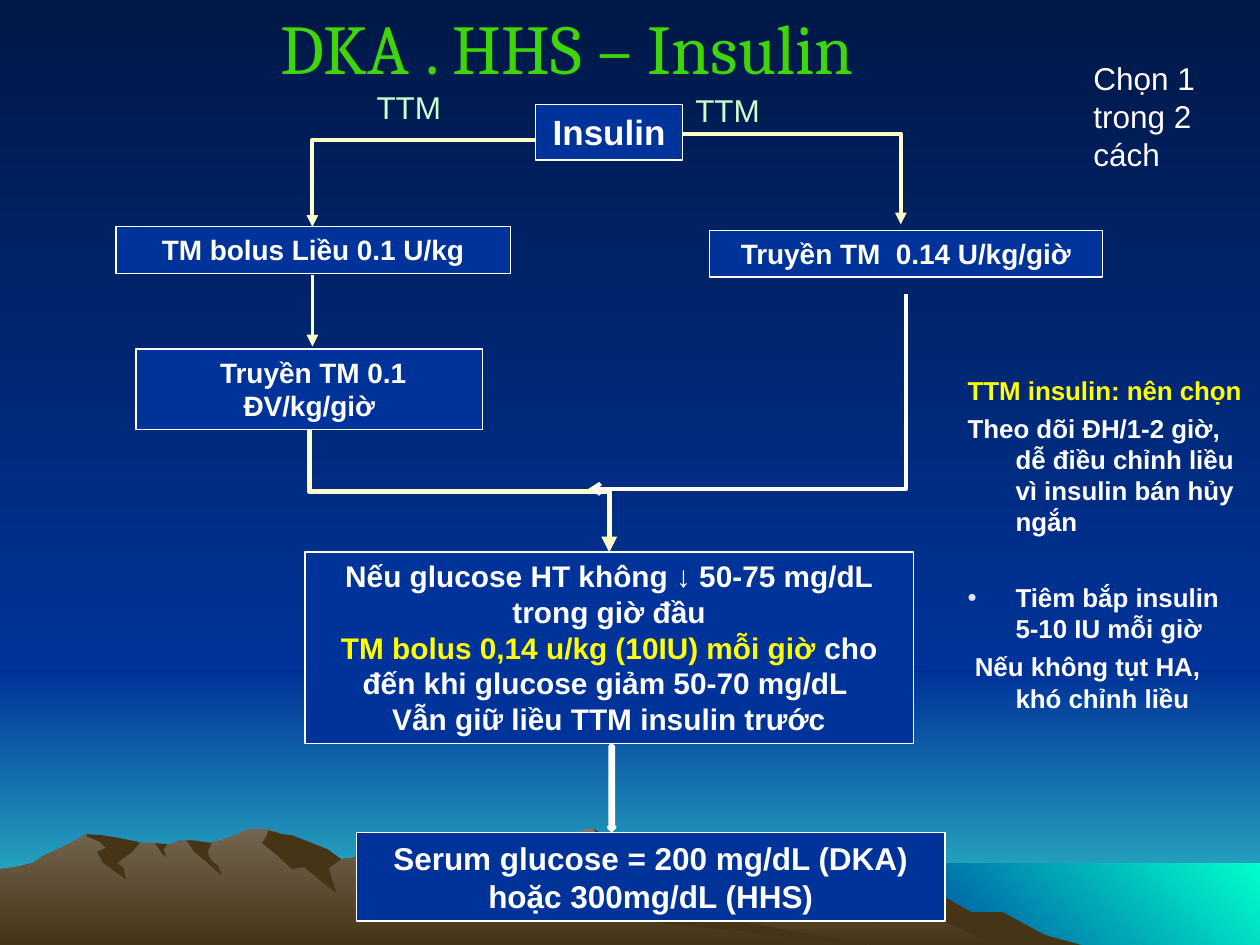
from dataclasses import dataclass
from lxml.etree import SubElement as Sub
from pptx import Presentation
from pptx.dml.color import RGBColor as RGB
from pptx.enum.shapes import MSO_CONNECTOR as Conn, MSO_SHAPE as Geo
from pptx.enum.text import MSO_ANCHOR as Anchor, MSO_AUTO_SIZE as Auto, PP_ALIGN as Align
from pptx.oxml.ns import qn
from pptx.util import Inches, Pt


@dataclass(frozen=True)
class Theme:
    font: str = "Arial"
    serif: str = "Cambria"
    title: str = "3ED608"
    box: str = "003399"
    night: str = "001847"
    sea: str = "33CCCC"
    foam: str = "00FFCC"
    rock: str = "463416"
    ridge: str = "847864"
    slope: str = "73654F"
    white: str = "FFFFFF"
    cream: str = "FFFFCC"
    mint: str = "CCFFCC"
    yellow: str = "FFFF00"
    dot: str = "E3E3FF"
    arrow: str = "3399FF"
    huge: float = 40
    head: float = 20
    label: float = 18
    rule: float = 17
    step: float = 16
    note: float = 14.8


T = Theme()

RIDGE = """802 740 778 727 764 723 723 698 702 671 685 660 676 667 656 671 629 671
613 681 566 697 536 690 529 676 526 673 509 669 497 671 486 673 474 661 471 658 465 658
450 664 438 671 430 671 418 675 405 681 394 685 355 698 327 709 277 739 258 750 820 750"""
SLOPE = """690 750 667 748 432 712 354 665 331 663 327 668 323 668 318 664 296 676
279 681 271 682 260 676 236 681 223 663 219 660 212 658 196 658 189 662 178 666 160 671
148 667 143 667 132 671 128 671 123 669 111 669 94 671 68 662 56 669 46 674 35 679
26 685 14 688 0 690 0 750"""
BACK = (
    """796 724 771 724 734 703 707 671 685 660 689 664 685 671 691 680 698 702
    693 733 720 717 788 750 858 750 829 742""",
    """471 658 474 662 469 664 468 671 472 680 473 690 465 727 474 704 479 700
    487 683 490 682 490 676 497 671 493 670""",
)
FRONT = (
    """212 663 208 669 219 678 232 690 241 688 267 709 261 689 271 682 260 674
    245 668 232 663 224 662 213 659""",
    """370 668 354 665 344 665 339 669 337 687 348 683 353 688 363 691 374 712
    407 727 472 727 690 750 455 707 427 692 411 684 401 681 386 675""",
    """154 667 161 668 168 669 165 676 166 680 169 684 173 687 176 695 165 685
    154 676 148 667""",
    "133 670 130 674 132 680 129 678 123 669",
    """109 668 111 669 105 676 93 685 98 689 100 698 82 685 77 676 84 673 79 668
    69 664 69 662 82 663 94 665""",
)


def rgb(code):
    return RGB.from_string(code)


def blend(fill, start, end, angle=270):
    fill.gradient()
    fill.gradient_angle = angle
    for stop, code in zip(fill.gradient_stops, (start, end)):
        stop.color.rgb = rgb(code)


def paint(fill, code):
    fill.solid()
    fill.fore_color.rgb = rgb(code)


def place(shape, *spot):
    shape.left, shape.top, shape.width, shape.height = map(Inches, spot)


def band(slide, spot, start, end, angle=270):
    shape = slide.shapes.add_shape(Geo.RECTANGLE, *map(Inches, spot))
    shape.shadow.inherit = False
    shape.line.fill.background()
    blend(shape.fill, start, end, angle)


def hill(slide, text, top=None):
    nums = [int(n) for n in text.split()]
    dots = list(zip(nums[::2], nums[1::2]))
    path = slide.shapes.build_freeform(*dots[0], scale=Inches(0.01))
    path.add_line_segments(dots[1:], close=True)
    shape = path.convert_to_shape()
    shape.shadow.inherit = False
    shape.line.fill.background()
    if top:
        blend(shape.fill, top, T.rock)
    else:
        paint(shape.fill, T.rock)


def scene(slide):
    blend(slide.background.fill, T.night, T.box)
    band(slide, (0, 5.33, 10, 2.17), T.box, T.sea)
    band(slide, (0, 0, 10, 5.33), T.night, T.box)
    band(slide, (6.83, 6.85, 3.17, 0.65), T.box, T.foam, 45)
    hill(slide, RIDGE, T.ridge)
    for text in BACK:
        hill(slide, text)
    hill(slide, SLOPE, T.slope)
    for text in FRONT:
        hill(slide, text)


def style(para, size, color, bold=False, face=T.font):
    font = para.font
    font.name, font.size, font.bold = face, Pt(size), bold
    font.color.rgb = rgb(color)


def write(shape, lines, size, color=T.white, bold=False, align=Align.LEFT):
    frame = shape.text_frame
    frame.word_wrap = True
    frame.vertical_anchor = Anchor.TOP
    for i, line in enumerate(lines):
        para = frame.add_paragraph() if i else frame.paragraphs[0]
        para.alignment = align
        style(para, size, color, bold)
        for text, tint in ([(line, None)] if isinstance(line, str) else line):
            run = para.add_run()
            run.text = text
            if tint:
                run.font.color.rgb = rgb(tint)


def box(slide, spot, lines, size):
    shape = slide.shapes.add_shape(Geo.RECTANGLE, *map(Inches, spot))
    shape.shadow.inherit = False
    paint(shape.fill, T.box)
    shape.line.color.rgb = rgb(T.white)
    shape.line.width = Pt(0.75)
    write(shape, lines, size, bold=True, align=Align.CENTER)


def label(slide, spot, text, color):
    write(slide.shapes.add_textbox(*map(Inches, spot)), [text], T.label, color)


def link(slide, ends, kind=Conn.ELBOW, color=T.cream, width=2.25,
         geom=None, turn=0, tip=("tailEnd", "triangle")):
    wire = slide.shapes.add_connector(kind, *map(Inches, ends))
    wire.line.color.rgb = rgb(color)
    wire.line.width = Pt(width)
    props = wire._element.spPr
    Sub(props.find(qn("a:ln")), qn("a:" + tip[0]), type=tip[1])
    Sub(props, qn("a:effectLst"))
    if geom:
        props.find(qn("a:prstGeom")).set("prst", geom)
    if turn:
        props.find(qn("a:xfrm")).set("rot", str(turn * 60000))


def flow(slide):
    bend = "bentConnector2"
    box(slide, (4.25, 0.83, 1.17, 0.44), ["Insulin"], T.head)
    box(slide, (0.92, 1.8, 3.13, 0.37), ["TM bolus Liều 0.1 U/kg"], T.step)
    link(slide, (2.48, 2.18, 2.48, 2.75), Conn.STRAIGHT)
    box(slide, (1.08, 2.77, 2.75, 0.64), [" Truyền TM 0.1 ĐV/kg/giờ"], T.step)
    box(slide, (2.42, 4.38, 4.83, 1.52), [
        "Nếu glucose HT không ↓ 50-75 mg/dL trong giờ đầu",
        [("TM bolus 0,14 u/kg (10IU) mỗi giờ ", T.yellow),
         ("cho đến khi glucose giảm 50-70 mg/dL ", None)],
        "Vẫn giữ liều TTM insulin trước"], T.rule)
    link(slide, (4.13, 2.71, 3.16, 5.09), width=3, turn=270)
    box(slide, (2.83, 6.61, 4.67, 0.7),
        ["Serum glucose = 200 mg/dL (DKA) hoặc 300mg/dL (HHS)"], T.label)
    link(slide, (4.25, 1.11, 2.48, 1.8), geom=bend)
    label(slide, (2.89, 0.65, 1.42, 0.4), "TTM", T.mint)
    link(slide, (5.42, 1.06, 7.15, 1.78), geom=bend)
    label(slide, (5.42, 0.67, 2, 0.4), "TTM", T.mint)
    box(slide, (5.63, 1.83, 3.12, 0.37), ["Truyền TM  0.14 U/kg/giờ"], T.step)
    link(slide, (4.67, 3.88, 7.19, 2.33), color=T.white, geom=bend,
         tip=("headEnd", "arrow"))
    label(slide, (8.58, 0.42, 1.42, 1), "Chọn 1 trong 2 cách", T.white)
    drop = slide.shapes.add_shape(Geo.DOWN_ARROW, *map(Inches, (4.83, 5.92, 0.05, 0.67)))
    drop.shadow.inherit = False
    paint(drop.fill, T.arrow)
    drop.line.color.rgb = rgb(T.white)
    drop.line.width = Pt(2)


def head(slide):
    title = slide.shapes.title
    slide.shapes._spTree.append(title._element)
    place(title, 0.25, 0.08, 8.5, 0.58)
    frame = title.text_frame
    frame.text = "DKA . HHS – Insulin"
    frame.auto_size = Auto.NONE
    frame.vertical_anchor = Anchor.MIDDLE
    para = frame.paragraphs[0]
    para.alignment = Align.CENTER
    style(para, T.huge, T.title, face=T.serif)


def notes(slide):
    body = slide.placeholders[1]
    slide.shapes._spTree.append(body._element)
    place(body, 7.58, 2.92, 2.42, 3.08)
    frame = body.text_frame
    frame.auto_size = Auto.NONE
    rows = (
        ("TTM insulin: nên chọn", T.yellow, 0, False),
        ("Theo dõi ĐH/1-2 giờ, dễ điều chỉnh liều vì insulin bán hủy ngắn", T.white, 4, False),
        ("Tiêm bắp insulin 5-10 IU mỗi giờ", T.white, 26, True),
        (" Nếu không tụt HA, khó chỉnh liều", T.white, 4, False),
    )
    for i, (text, color, gap, dot) in enumerate(rows):
        para = frame.add_paragraph() if i else frame.paragraphs[0]
        para.text = text
        props = para._p.get_or_add_pPr()
        props.set("marL", str(Inches(0.38)))
        props.set("indent", str(Inches(-0.38)))
        if dot:
            Sub(Sub(props, qn("a:buClr")), qn("a:srgbClr"), val=T.dot)
            Sub(props, qn("a:buChar"), char="•")
        else:
            Sub(props, qn("a:buNone"))
        para.space_before = Pt(gap)
        style(para, T.note, color, True)


def main():
    deck = Presentation()
    deck.slide_width, deck.slide_height = Inches(10), Inches(7.5)
    slide = deck.slides.add_slide(deck.slide_layouts[1])
    scene(slide)
    head(slide)
    flow(slide)
    notes(slide)
    deck.save("out.pptx")


if __name__ == "__main__":
    main()
